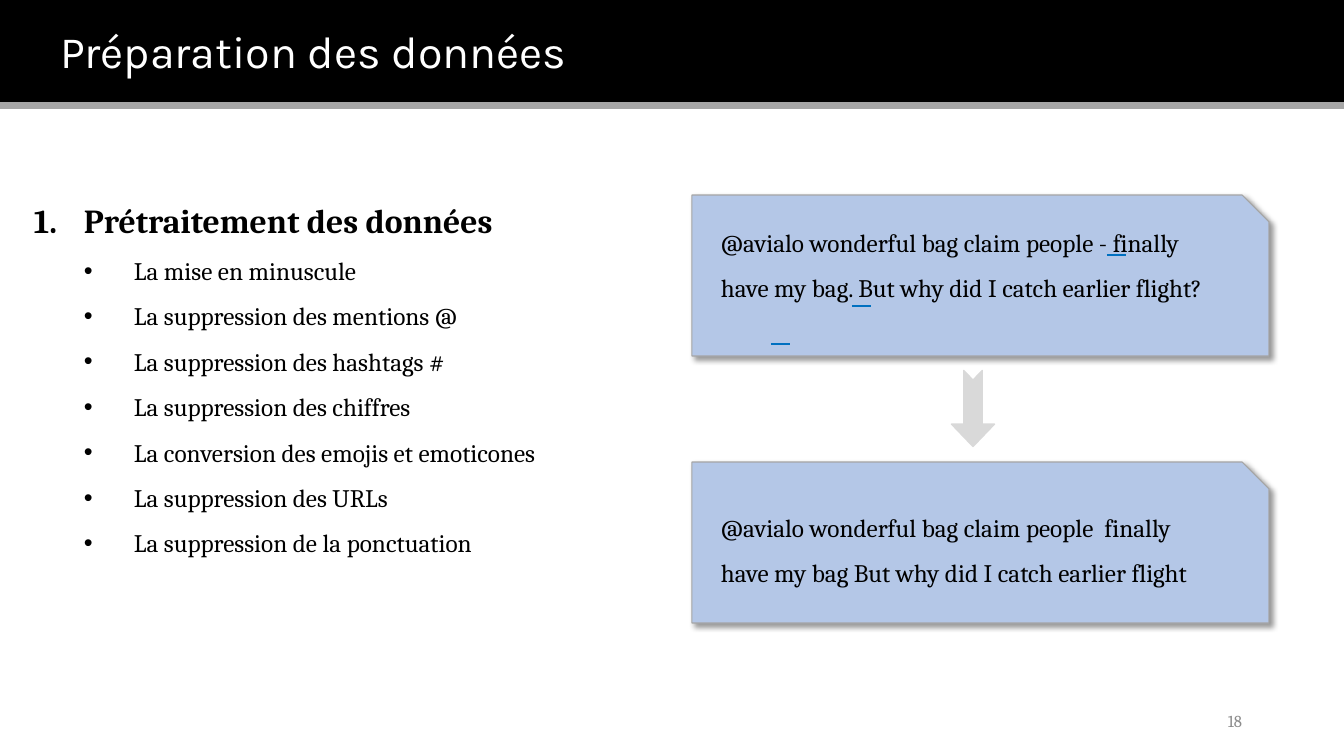
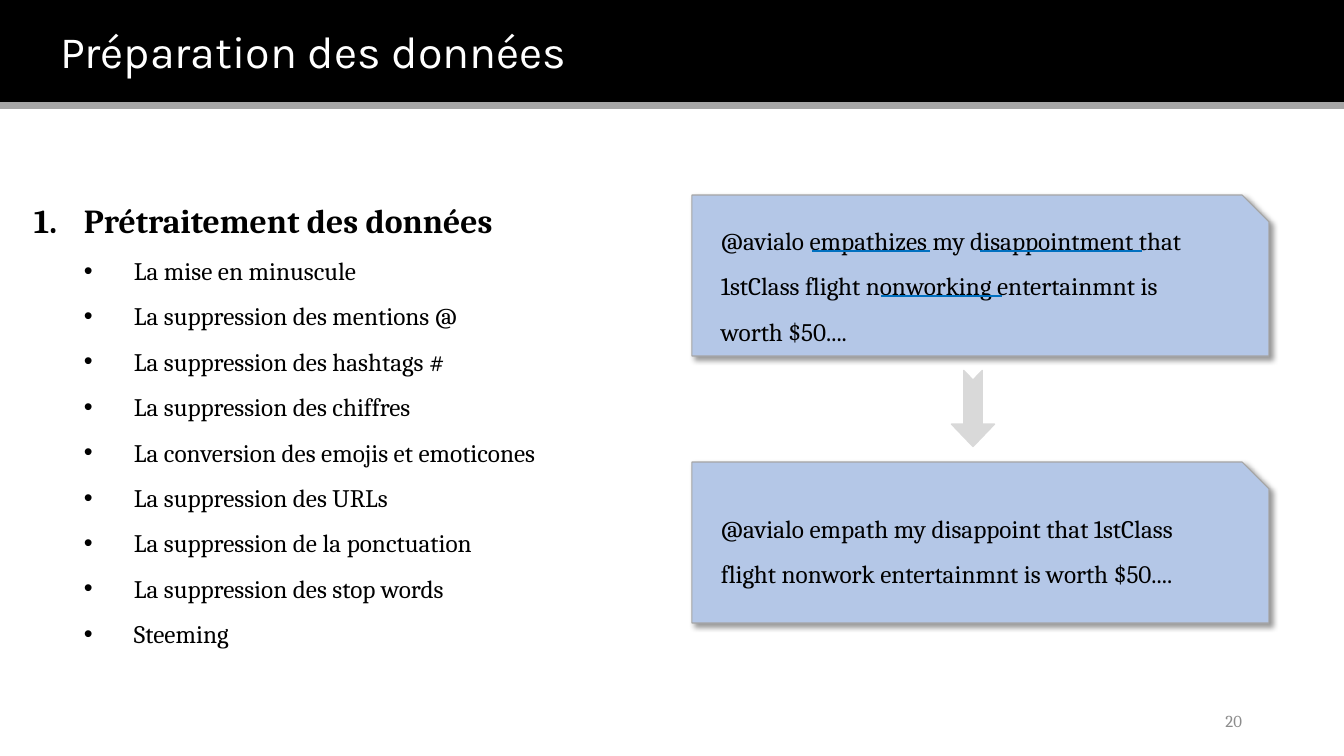
from lxml.etree import SubElement
from pptx import Presentation
from pptx.dml.color import RGBColor
from pptx.enum.shapes import MSO_CONNECTOR, MSO_SHAPE
from pptx.enum.text import MSO_ANCHOR, MSO_AUTO_SIZE, PP_ALIGN
from pptx.oxml.ns import qn
from pptx.util import Pt

SLIDE_WIDTH, SLIDE_HEIGHT = 1344, 756
EMU_PER_PX = 12192000 / SLIDE_WIDTH
BLACK = RGBColor(0x00, 0x00, 0x00)
WHITE = RGBColor(0xFF, 0xFF, 0xFF)
RULE_GRAY = RGBColor(0xA6, 0xA6, 0xA6)
NUMBER_GRAY = RGBColor(0x8C, 0x8C, 0x8C)
CARD_BLUE = RGBColor(0xB4, 0xC7, 0xE7)
CARD_EDGE = RGBColor(0xA5, 0xA5, 0xA5)
ARROW_GRAY = RGBColor(0xD9, 0xD9, 0xD9)
MARK_BLUE = RGBColor(0x00, 0x70, 0xC0)
TITLE_FONT, BODY_FONT = "Karla", "Cambria"
INDENT = 50
CARD_WIDTH, CARD_HEIGHT, CARD_PITCH = 577, 161, 267

STEPS = [
    "La mise en minuscule",
    "La suppression des mentions @",
    "La suppression des hashtags #",
    "La suppression des chiffres",
    "La conversion des emojis et emoticones",
    "La suppression des URLs",
    "La suppression de la ponctuation",
    "La suppression des stop words",
    "Steeming",
]
SLIDES = [
    {
        "number": "18",
        "steps": STEPS[:7],
        "before": "@avialo wonderful bag claim people - finally have my bag. "
                  "But why did I catch earlier flight?",
        "after": "@avialo wonderful bag claim people  finally have my bag "
                 "But why did I catch earlier flight",
        "text_tops": (12, 30),
        "marks": [(415, 60, 19), (160, 111, 19), (79, 149, 19)],
    },
    {
        "number": "20",
        "steps": STEPS,
        "before": "@avialo empathizes my disappointment that 1stClass flight "
                  "nonworking entertainmnt is worth $50....",
        "after": "@avialo empath my disappoint that 1stClass flight nonwork "
                 "entertainmnt is worth $50....",
        "text_tops": (10, 31),
        "marks": [(189, 101, 121), (120, 56, 118), (288, 56, 162)],
    },
]


def px(length):
    return round(length * EMU_PER_PX)


def box_emu(*lengths):
    return [px(length) for length in lengths]


def write_text(frame, text, *, size=18, font=BODY_FONT, color=BLACK, bold=False,
               align=PP_ALIGN.LEFT, spacing=1.0, level=0, bullet=None):
    paragraph = frame.paragraphs[0]
    if paragraph.runs:
        paragraph = frame.add_paragraph()
    paragraph.alignment = align
    paragraph.line_spacing = spacing
    paragraph.level = level
    if bullet:
        properties = paragraph._p.get_or_add_pPr()
        properties.set("marL", str(px(INDENT * (level + 1))))
        properties.set("indent", str(-px(INDENT)))
        if bullet == "1.":
            SubElement(properties, qn("a:buAutoNum"), type="arabicPeriod")
        else:
            SubElement(properties, qn("a:buFont"), typeface="Arial")
            SubElement(properties, qn("a:buChar"), char=bullet)
    run = paragraph.add_run()
    run.text = text
    run.font.size = Pt(size)
    run.font.name = font
    run.font.bold = bold
    run.font.color.rgb = color


def add_text_frame(slide, left, top, width, height, anchor=MSO_ANCHOR.TOP):
    frame = slide.shapes.add_textbox(*box_emu(left, top, width, height)).text_frame
    frame.word_wrap = True
    frame.vertical_anchor = anchor
    return frame


def paint(shape, fill, edge, edge_width=1):
    shape.fill.solid()
    shape.fill.fore_color.rgb = fill
    shape.line.color.rgb = edge
    shape.line.width = Pt(edge_width)


def add_block(slide, kind, left, top, width, height, fill, edge, edge_width=1):
    block = slide.shapes.add_shape(kind, *box_emu(left, top, width, height))
    block.shadow.inherit = False
    paint(block, fill, edge, edge_width)
    return block


def add_header(slide, text):
    title = slide.shapes.title
    title.left, title.top, title.width, title.height = box_emu(0, 0, SLIDE_WIDTH, 102)
    paint(title, BLACK, BLACK)
    frame = title.text_frame
    frame.auto_size = MSO_AUTO_SIZE.NONE
    frame.word_wrap = True
    frame.vertical_anchor = MSO_ANCHOR.MIDDLE
    frame.margin_left = px(60)
    write_text(frame, text, size=32, font=TITLE_FONT, color=WHITE)
    add_block(slide, MSO_SHAPE.RECTANGLE, 0, 103, SLIDE_WIDTH, 5, RULE_GRAY, RULE_GRAY)


def add_page_number(slide, number):
    frame = add_text_frame(slide, 950, 701, 302, 40, MSO_ANCHOR.MIDDLE)
    write_text(frame, number, size=12, color=NUMBER_GRAY, align=PP_ALIGN.RIGHT)


def add_steps(slide, left, top, steps):
    frame = add_text_frame(slide, left, top, 560, 53 + 45 * len(steps))
    write_text(frame, "Prétraitement des données", size=24, bold=True, bullet="1.")
    for step in steps:
        write_text(frame, step, spacing=1.5, level=1, bullet="•")


def add_card(slide, left, top, text, text_top):
    card = add_block(slide, MSO_SHAPE.SNIP_1_RECTANGLE, left, top,
                     CARD_WIDTH, CARD_HEIGHT, CARD_BLUE, CARD_EDGE, 0.75)
    shadow = SubElement(card._element.spPr.find(qn("a:effectLst")), qn("a:outerShdw"),
                        blurRad=str(Pt(4)), dist=str(Pt(3)), dir="2700000",
                        algn="tl", rotWithShape="0")
    shade = SubElement(shadow, qn("a:srgbClr"), val=str(BLACK))
    SubElement(shade, qn("a:alpha"), val="40000")
    frame = add_text_frame(slide, left + 19, top + text_top, 513, CARD_HEIGHT - text_top)
    write_text(frame, text, spacing=1.5)


def add_mark(slide, left, top, width):
    mark = slide.shapes.add_connector(
        MSO_CONNECTOR.STRAIGHT, *box_emu(left, top, left + width, top))
    mark.line.color.rgb = MARK_BLUE
    mark.line.width = Pt(1.5)
    SubElement(mark._element.spPr, qn("a:effectLst"))


def add_example(slide, left, top, before, after, text_tops, marks):
    for row, (text, text_top) in enumerate(zip((before, after), text_tops)):
        add_card(slide, left, top + row * CARD_PITCH, text, text_top)
    arrow = add_block(slide, MSO_SHAPE.NOTCHED_RIGHT_ARROW, left + 243, top + 192,
                      76, 43, ARROW_GRAY, ARROW_GRAY)
    arrow.rotation = 90
    arrow.adjustments[0] = 0.43
    arrow.adjustments[1] = 0.52
    for mark_left, mark_top, width in marks:
        add_mark(slide, left + mark_left, top + mark_top, width)


def add_preparation_slide(deck, number, steps, **example):
    slide = deck.slides.add_slide(deck.slide_layouts.get_by_name("Title Only"))
    add_header(slide, "Préparation des données")
    add_page_number(slide, number)
    add_steps(slide, 24, 195, steps)
    add_example(slide, 692, 195, **example)


def main():
    deck = Presentation()
    deck.slide_width, deck.slide_height = box_emu(SLIDE_WIDTH, SLIDE_HEIGHT)
    for content in SLIDES:
        add_preparation_slide(deck, **content)
    deck.save("out.pptx")


if __name__ == "__main__":
    main()
